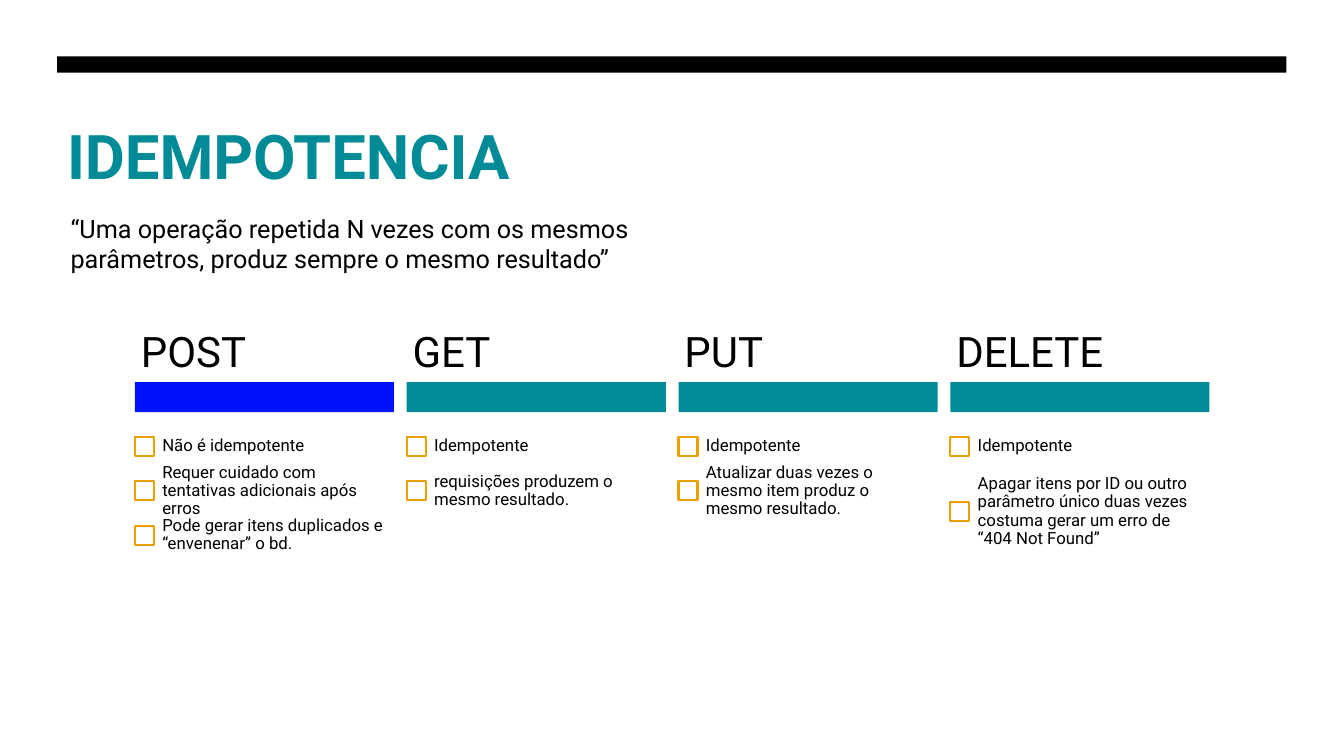
"""Build the slide on idempotent HTTP methods."""
from dataclasses import dataclass
from typing import Any

from pptx import Presentation
from pptx.dml.color import RGBColor
from pptx.enum.shapes import MSO_SHAPE as Kind
from pptx.enum.text import MSO_ANCHOR as Anchor
from pptx.util import Cm, Pt

TEAL, BLUE, GOLD, BLACK, WHITE = "008B96", "0012F9", "EBA000", "000000", "FFFFFF"
LEFT, PITCH, WIDE = 3.4, 6.85, 6.53
HEAD, BAR, LIST, ROW = 8.23, 9.63, 10.69, 1.12
BOX, INDENT = 0.48, 0.46


@dataclass
class Verb:
    name: str
    items: list[str]
    fill: str = TEAL
    drop: float = 0


@dataclass
class Style:
    size: int
    pad: tuple[float, float] = (0.25, 0.13)
    color: str = BLACK
    bold: bool = False
    space: float = 1
    anchor: Any = Anchor.TOP


TITLE = Style(44, (0.25, 0.25), TEAL, True)
QUOTE = Style(18)
NAME = Style(30, (0.15, 0.1), space=0.9, anchor=Anchor.MIDDLE)
ITEM = Style(12, (0.23, 0.23), space=0.9, anchor=Anchor.MIDDLE)

VERBS = [
    Verb("POST", [
        "Não é idempotente",
        "Requer cuidado com tentativas adicionais após erros",
        "Pode gerar itens duplicados e “envenenar” o bd.",
    ], BLUE),
    Verb("GET", ["Idempotente", "requisições produzem o mesmo resultado."]),
    Verb("PUT", [
        "Idempotente",
        "Atualizar duas vezes o mesmo item produz o mesmo resultado.",
    ]),
    Verb("DELETE", [
        "Idempotente",
        "Apagar itens por ID ou outro parâmetro único duas vezes "
        "costuma gerar um erro de “404 Not Found”",
    ], drop=0.52),
]


def paint(part: Any, tone: str) -> None:
    part.solid()
    part.fore_color.rgb = RGBColor.from_string(tone)


def apply(part: Any, values: dict[str, Any]) -> None:
    for key, value in values.items():
        setattr(part, key, value)


def rect(home: Any, x: float, y: float, w: float, h: float,
         fill: str, edge: str = "") -> None:
    shape = home.add_shape(Kind.RECTANGLE, Cm(x), Cm(y), Cm(w), Cm(h))
    shape.shadow.inherit = False
    paint(shape.fill, fill)
    if edge:
        paint(shape.line.fill, edge)
        shape.line.width = Pt(1.5)
    else:
        shape.line.fill.background()


def write(home: Any, x: float, y: float, w: float, h: float,
          text: str, style: Style) -> None:
    frame = home.add_textbox(Cm(x), Cm(y), Cm(w), Cm(h)).text_frame
    side, top = map(Cm, style.pad)
    apply(frame, {
        "word_wrap": True, "vertical_anchor": style.anchor,
        "margin_left": side, "margin_right": side,
        "margin_top": top, "margin_bottom": top,
    })
    para = frame.paragraphs[0]
    para.line_spacing = style.space
    run = para.add_run()
    run.text = text
    apply(run.font, {"name": "Roboto", "size": Pt(style.size), "bold": style.bold})
    paint(run.font.fill, style.color)


def column(home: Any, x: float, verb: Verb) -> None:
    rect(home, x, BAR, WIDE, 0.76, verb.fill)
    write(home, x, HEAD, WIDE, 1.37, verb.name, NAME)
    for row, item in enumerate(verb.items):
        y = LIST + row * (ROW + verb.drop)
        rect(home, x, y + (ROW - BOX) / 2, BOX, BOX, WHITE, GOLD)
        write(home, x + INDENT, y, WIDE - INDENT, ROW, item, ITEM)


def main() -> None:
    deck = Presentation()
    apply(deck, {"slide_width": Cm(33.87), "slide_height": Cm(19.05)})
    slide = deck.slides.add_slide(deck.slide_layouts[6])
    paint(slide.background.fill, WHITE)
    home = slide.shapes
    rect(home, 1.44, 1.42, 30.98, 0.41, BLACK)
    write(home, 1.44, 2.72, 30.98, 4.06, "IDEMPOTENCIA", TITLE)
    write(home, 1.53, 5.24, 17.37, 1.8,
          "“Uma operação repetida N vezes com os mesmos parâmetros, "
          "produz sempre o mesmo resultado”", QUOTE)
    for rank, verb in enumerate(VERBS):
        column(home.add_group_shape().shapes, LEFT + rank * PITCH, verb)
    deck.save("out.pptx")


if __name__ == "__main__":
    main()
